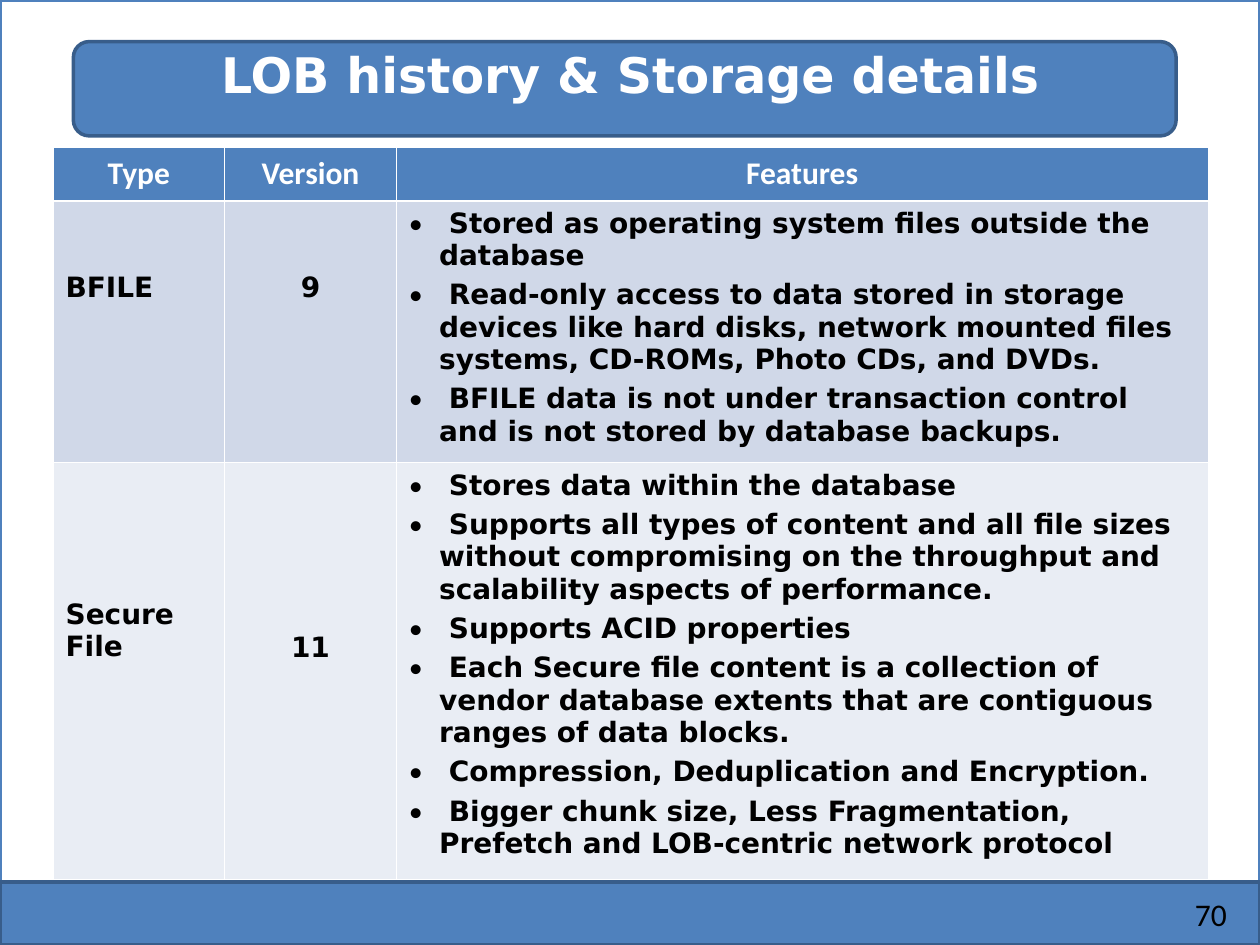
import pptx
import pptx.util
import pptx.dml.color
import pptx.enum.shapes
import pptx.enum.text
import pptx.oxml.ns
from lxml import etree

Cm, Pt = pptx.util.Cm, pptx.util.Pt
ALIGN = pptx.enum.text.PP_ALIGN
SHAPE = pptx.enum.shapes.MSO_SHAPE
qn = pptx.oxml.ns.qn

COLORS = {"white": "FFFFFF", "black": "000000", "blue": "4F81BD", "edge": "385D8A",
          "rule": "4A7EBB", "band1": "D0D8E8", "band2": "E9EDF4"}
HEAD_FONT, BODY_FONT = "Calibri", "DejaVu Sans"
THIN, THICK = 0.45, 1.47

HEADERS = ["Type", "Version", "Features"]
# Per row: band colour, then (paragraphs, top margin in cm) for each cell
ROWS = [
    ("band1", (["BFILE"], 1.43), (["9"], 1.43), ([
        " Stored as operating system files outside the database",
        " Read-only access to data stored in storage devices like hard disks, "
        "network mounted files systems, CD-ROMs, Photo CDs, and DVDs.",
        " BFILE data is not under transaction control and is not stored by database backups.",
    ], 0.13)),
    ("band2", (["Secure", "File"], 2.74), (["11"], 3.4), ([
        " Stores data within the database",
        " Supports all types of content and all file sizes without compromising "
        "on the throughput and scalability aspects of performance.",
        " Supports ACID properties",
        " Each Secure file content is a collection of vendor database extents "
        "that are contiguous ranges of data blocks.",
        " Compression, Deduplication and Encryption.",
        " Bigger chunk size, Less Fragmentation, Prefetch and LOB-centric network protocol",
    ], 0.13)),
]


def rgb(name):
    return pptx.dml.color.RGBColor.from_string(COLORS[name])


class SlideBuilder:
    def __init__(self, prs):
        self.s = prs.slides.add_slide(prs.slide_layouts[5])

    def font(self, p, size, face, color, bold=False):
        for r in p.runs:
            f = r.font
            f.size, f.name, f.bold = Pt(size), face, bold
            f.color.rgb = rgb(color)

    def panel(self, kind, x, y, w, h, fill, line):
        sp = self.s.shapes.add_shape(kind, Cm(x), Cm(y), Cm(w), Cm(h))
        sp.shadow.inherit = False
        sp.fill.solid()
        sp.fill.fore_color.rgb = rgb(fill)
        sp.line.color.rgb = rgb(line)
        sp.line.width = Pt(2)

    def rule(self, x1, y1, x2, y2):
        line = self.s.shapes.add_connector(
            pptx.enum.shapes.MSO_CONNECTOR.STRAIGHT, Cm(x1), Cm(y1), Cm(x2), Cm(y2))
        line.line.color.rgb = rgb("rule")
        line.line.width = Pt(0.75)
        etree.SubElement(line.element.spPr, qn("a:effectLst"))

    def title(self, text, x, y, w, h):
        sp = self.s.shapes.title
        sp.left, sp.top, sp.width, sp.height = Cm(x), Cm(y), Cm(w), Cm(h)
        sp.element.getparent().append(sp.element)  # in front of the panels
        tf = sp.text_frame
        tf.text = text
        tf.vertical_anchor = pptx.enum.text.MSO_ANCHOR.TOP
        tf.auto_size = pptx.enum.text.MSO_AUTO_SIZE.NONE
        tf.paragraphs[0].alignment = ALIGN.CENTER
        self.font(tf.paragraphs[0], 28, BODY_FONT, "white", True)

    def page_number(self, text, x, y, w, h):
        tf = self.s.shapes.add_textbox(Cm(x), Cm(y), Cm(w), Cm(h)).text_frame
        tf.word_wrap = True
        tf.text = text
        tf.paragraphs[0].alignment = ALIGN.RIGHT
        self.font(tf.paragraphs[0], 18, HEAD_FONT, "black")

    def bullet(self, p):
        pPr = p._p.get_or_add_pPr()
        pPr.set("marL", str(Cm(0.61)))
        pPr.set("indent", str(-Cm(0.61)))
        color = etree.SubElement(pPr, qn("a:buClr"))
        etree.SubElement(color, qn("a:srgbClr"), val=COLORS["black"])
        etree.SubElement(pPr, qn("a:buFont"), typeface=HEAD_FONT)
        etree.SubElement(pPr, qn("a:buChar"), char="•")

    def cell(self, cell, lines, fill, top=THIN, bottom=THIN, margin=0.13):
        tcPr = cell._tc.get_or_add_tcPr()
        for side, width in zip("LRTB", (THIN, THIN, top, bottom)):
            ln = etree.SubElement(tcPr, qn(f"a:ln{side}"), w=str(Pt(width)))
            solid = etree.SubElement(ln, qn("a:solidFill"))
            etree.SubElement(solid, qn("a:srgbClr"), val=COLORS["white"])
        cell.fill.solid()
        cell.fill.fore_color.rgb = rgb(fill)
        cell.margin_top = Cm(margin)
        cell.text_frame.text = "\n".join(lines)
        return cell.text_frame.paragraphs

    def table(self, x, y, widths, heights):
        frame = self.s.shapes.add_table(len(heights), len(widths), Cm(x), Cm(y),
                                        Cm(sum(widths)), Cm(sum(heights)))
        table = frame.table
        table.horz_banding = False
        for col, width in zip(table.columns, widths):
            col.width = Cm(width)
        for row, height in zip(table.rows, heights):
            row.height = Cm(height)
        # Header row
        for j, text in enumerate(HEADERS):
            p, = self.cell(table.cell(0, j), [text], "blue", bottom=THICK)
            p.alignment = ALIGN.CENTER
            self.font(p, 18, HEAD_FONT, "white", True)
        # Body rows: name, centred version, bulleted features
        for i, (band, *cells) in enumerate(ROWS, 1):
            for j, (lines, margin) in enumerate(cells):
                paragraphs = self.cell(table.cell(i, j), lines, band,
                                       top=THICK if i == 1 else THIN, margin=margin)
                for k, p in enumerate(paragraphs):
                    if j == 1:
                        p.alignment = ALIGN.CENTER
                    elif j == 2:
                        self.bullet(p)
                        if k:
                            p.space_before = Pt(4)
                    self.font(p, 16, BODY_FONT, "black", True)


def main():
    prs = pptx.Presentation()
    prs.slide_width, prs.slide_height = Cm(25.4), Cm(19.05)
    b = SlideBuilder(prs)

    # Page frame, title panel and footer
    b.panel(SHAPE.RECTANGLE, 0, 0, 25.4, 19.05, "white", "blue")
    b.panel(SHAPE.ROUNDED_RECTANGLE, 1.48, 0.84, 22.23, 1.9, "blue", "edge")
    b.rule(0, 17.78, 25.4, 17.78)
    b.panel(SHAPE.RECTANGLE, 0, 17.78, 25.4, 1.27, "blue", "edge")
    b.page_number("70", 21.17, 17.91, 3.81, 1.03)

    # Title and table
    b.title("LOB history & Storage details", 1.27, 0.76, 22.86, 3.18)
    b.table(1.07, 2.98, [3.46, 3.46, 16.36], [1.07, 5.28, 8.4])

    prs.save("out.pptx")


if __name__ == "__main__":
    main()
